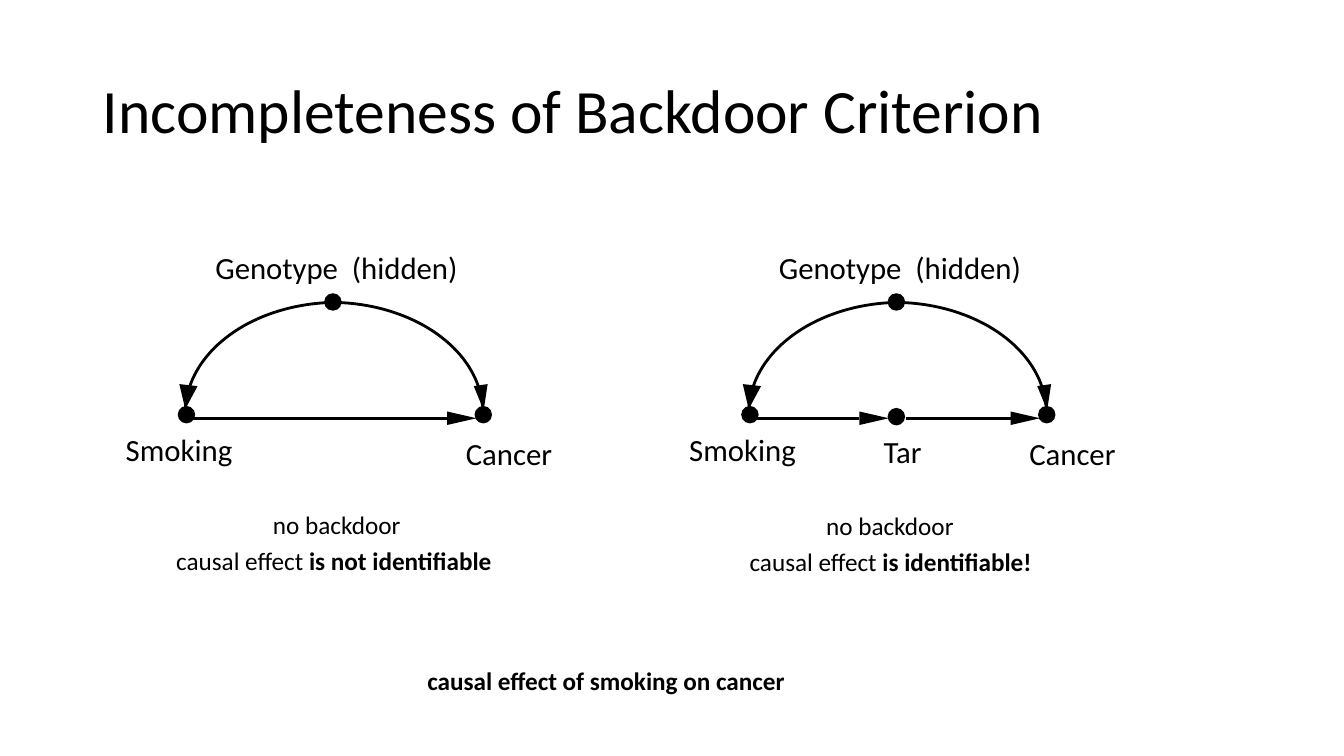
import math
from dataclasses import dataclass

from lxml import etree
from pptx import Presentation
from pptx import util as u
from pptx.dml.color import RGBColor
from pptx.enum import shapes, text
from pptx.oxml.ns import qn


@dataclass
class Theme:
    font: str = "Calibri"
    ink: RGBColor = RGBColor(0, 0, 0)
    title: int = 44
    label: int = 22
    caption: int = 18
    line: int = 2


def write_text(frame, runs, *, theme, size, wrap=False, anchor=text.MSO_ANCHOR.TOP,
               fit=text.MSO_AUTO_SIZE.SHAPE_TO_FIT_TEXT, spacing=1.0):
    frame.word_wrap = wrap
    frame.auto_size = fit
    frame.vertical_anchor = anchor
    paragraph = frame.paragraphs[0]
    paragraph.alignment = text.PP_ALIGN.LEFT
    paragraph.line_spacing = spacing
    for content, bold in runs:
        run = paragraph.add_run()
        run.text = content
        run.font.name = theme.font
        run.font.size = u.Pt(size)
        run.font.bold = bold
        run.font.color.rgb = theme.ink


class CausalSlide:
    dot_size = 0.44
    head_length = 0.74
    head_half = 0.17
    arc_steps = 40

    def __init__(self, presentation, theme):
        self.theme = theme
        self.slide = presentation.slides.add_slide(presentation.slide_layouts[5])
        self.target = self.slide.shapes
        self.offset = 0

    def start_diagram(self, offset):
        self.target = self.slide.shapes.add_group_shape().shapes
        self.offset = offset

    def end_diagram(self):
        self.target = self.slide.shapes
        self.offset = 0

    def x(self, value):
        return u.Cm(value + self.offset)

    def title(self, content):
        shape = self.slide.shapes.title
        shape.left, shape.top, shape.width, shape.height = map(u.Cm, (2.34, 1.02, 29.21, 3.68))
        write_text(shape.text_frame, [(content, False)], theme=self.theme, size=self.theme.title,
                   wrap=True, anchor=text.MSO_ANCHOR.MIDDLE,
                   fit=text.MSO_AUTO_SIZE.NONE, spacing=0.9)

    def text(self, left, top, width, height, size, *runs):
        box = self.target.add_textbox(self.x(left), u.Cm(top), u.Cm(width), u.Cm(height))
        write_text(box.text_frame, runs, theme=self.theme, size=size)

    def label(self, content, left, top, width):
        self.text(left, top, width, 1.19, self.theme.label, (content, False))

    def caption(self, left, top, width, *runs):
        self.text(left, top, width, 1.02, self.theme.caption, *runs)

    def fill(self, shape):
        shape.shadow.inherit = False
        shape.fill.solid()
        shape.fill.fore_color.rgb = self.theme.ink
        shape.line.fill.background()

    def stroke(self, shape):
        shape.line.color.rgb = self.theme.ink
        shape.line.width = u.Pt(self.theme.line)

    def node(self, center_x, center_y):
        half = self.dot_size / 2
        size = u.Cm(self.dot_size)
        self.fill(self.target.add_shape(shapes.MSO_SHAPE.OVAL, self.x(center_x - half),
                                        u.Cm(center_y - half), size, size))

    def outline(self, points, closed):
        start, *rest = [(self.x(left), u.Cm(top)) for left, top in points]
        builder = self.target.build_freeform(*start)
        builder.add_line_segments(rest, close=closed)
        return builder.convert_to_shape()

    def head(self, *points):
        self.fill(self.outline(points, True))

    def arc(self, center_x, center_y, first_degree):
        angles = [math.radians(first_degree + 90 * step / self.arc_steps)
                  for step in range(self.arc_steps + 1)]
        shape = self.outline([(center_x + 3.84 * math.cos(angle), center_y + 2.79 * math.sin(angle))
                              for angle in angles], False)
        shape.shadow.inherit = False
        shape.fill.background()
        self.stroke(shape)

    def arrow(self, start, tip, level):
        base = tip - self.head_length
        line = self.target.add_connector(shapes.MSO_CONNECTOR.STRAIGHT, self.x(start), u.Cm(level),
                                         self.x(base), u.Cm(level))
        self.stroke(line)
        etree.SubElement(line._element.spPr, qn("a:effectLst"))
        self.head((tip, level), (base, level + self.head_half), (base, level - self.head_half))

    def diagram(self, offset, arrows, mediator=None):
        self.start_diagram(offset)
        self.arc(8.51, 10.41, 180)
        self.arc(8.33, 10.41, 270)
        self.head((4.67, 10.31), (4.52, 9.68), (4.98, 9.73))
        self.head((12.19, 10.34), (11.94, 9.73), (12.29, 9.68))
        for start, tip in arrows:
            self.arrow(start, tip, 10.54)
        for center in ((4.7, 10.45), (8.39, 7.61), (12.18, 10.45)):
            self.node(*center)
        self.label("Genotype  (hidden)", 5.18, 6.15, 6.68)
        self.label("Smoking", 2.92, 10.74, 3.23)
        self.label("Cancer", 11.49, 10.82, 2.69)
        if mediator:
            self.node(8.39, 10.5)
            self.label(mediator, 7.82, 10.77, 1.47)
        self.end_diagram()


def main():
    presentation = Presentation()
    presentation.slide_width = u.Cm(33.87)
    presentation.slide_height = u.Cm(19.05)
    page = CausalSlide(presentation, Theme())
    page.title("Incompleteness of Backdoor Criterion")
    page.diagram(0, [(4.8, 12.01)])
    page.diagram(14.2, [(4.8, 8.2), (8.64, 12.01)], mediator="Tar")
    page.caption(6.63, 12.7, 3.76, ("no backdoor", False))
    page.caption(4.19, 13.61, 8.56, ("causal effect ", False), ("is not identifiable", True))
    page.caption(20.57, 12.73, 3.76, ("no backdoor", False))
    page.caption(18.64, 13.64, 7.72, ("causal effect ", False), ("is identifiable!", True))
    page.caption(10.52, 16.64, 9.55, ("causal effect of smoking on cancer", True))
    presentation.save("out.pptx")


if __name__ == "__main__":
    main()
